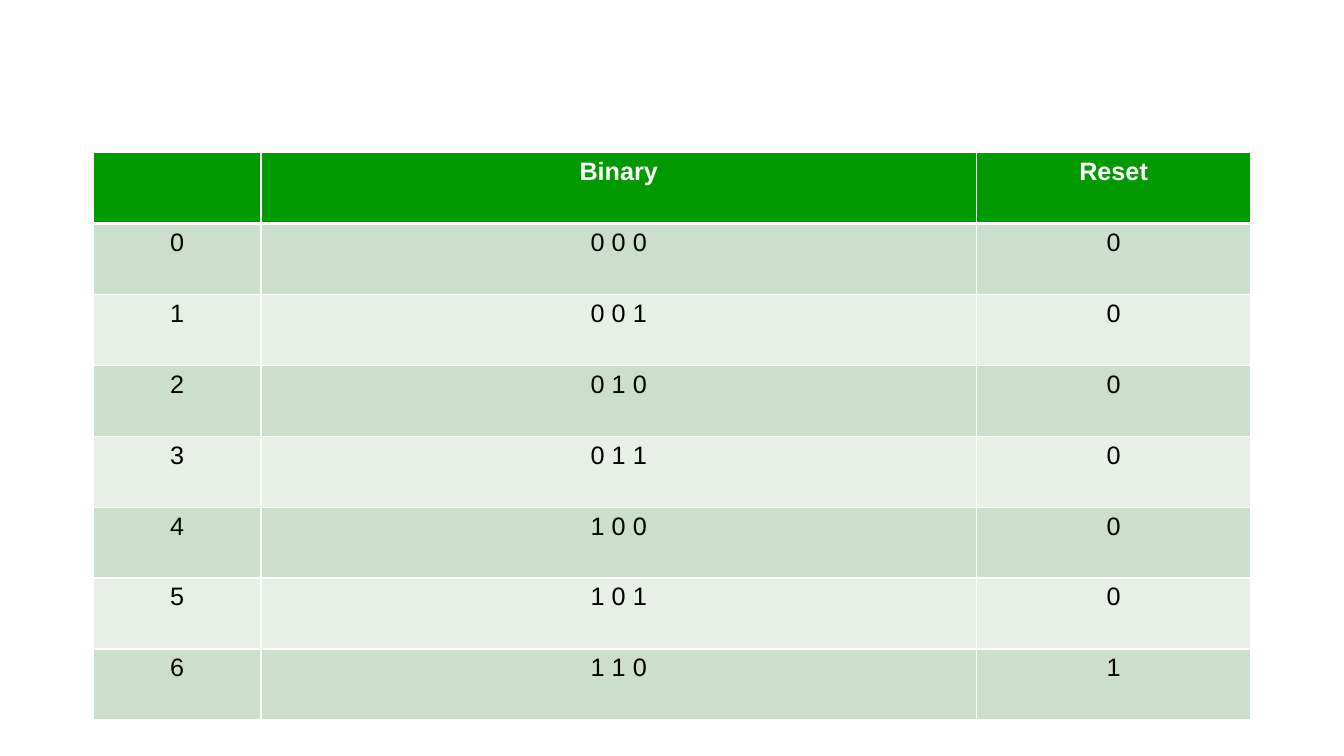
from dataclasses import dataclass

from lxml import etree
from pptx import Presentation
from pptx.dml.color import RGBColor
from pptx.enum import text
from pptx.oxml import ns
from pptx.util import Pt


@dataclass(frozen=True)
class Theme:
    font: str = "Arial"
    size: int = 18
    header: str = "009900"
    bands: tuple = ("CCDECC", "E7EFE7")
    light: str = "FFFFFF"
    dark: str = "000000"
    thin: int = 1
    thick: int = 3


theme = Theme()


def add_border(cell, side, width):
    """Draw one side (L, R, T or B); call before filling the cell."""
    line = etree.SubElement(cell._tc.get_or_add_tcPr(), ns.qn(f"a:ln{side}"), w=str(Pt(width)))
    fill = etree.SubElement(line, ns.qn("a:solidFill"))
    etree.SubElement(fill, ns.qn("a:srgbClr"), val=theme.light)


presentation = Presentation()
presentation.slide_width, presentation.slide_height = Pt(960), Pt(540)
slide = presentation.slides.add_slide(presentation.slide_layouts[6])

reset_count = 6
rows = [("", "Binary", "Reset")]
for count in range(reset_count + 1):
    rows.append((str(count), " ".join(f"{count:03b}"), str(int(count == reset_count))))

column_widths = (120, 511, 196)
row_height = 50.68
table = slide.shapes.add_table(
    len(rows), len(column_widths), Pt(66.5), Pt(109),
    Pt(sum(column_widths)), Pt(row_height * len(rows)),
).table
for column, width in zip(table.columns, column_widths):
    column.width = Pt(width)

for row_index, values in enumerate(rows):
    table.rows[row_index].height = Pt(row_height)
    is_header = row_index == 0
    fill_color = theme.header if is_header else theme.bands[(row_index - 1) % 2]
    for column_index, value in enumerate(values):
        cell = table.cell(row_index, column_index)
        add_border(cell, "L", theme.thin)
        add_border(cell, "R", theme.thin)
        add_border(cell, "T", theme.thick if row_index == 1 else theme.thin)
        add_border(cell, "B", theme.thick if is_header else theme.thin)
        cell.fill.solid()
        cell.fill.fore_color.rgb = RGBColor.from_string(fill_color)
        cell.text_frame.text = value
        paragraph = cell.text_frame.paragraphs[0]
        paragraph.alignment = text.PP_ALIGN.CENTER
        for run in paragraph.runs:
            run.font.name = theme.font
            run.font.size = Pt(theme.size)
            run.font.bold = is_header
            run.font.color.rgb = RGBColor.from_string(theme.light if is_header else theme.dark)

presentation.save("out.pptx")
